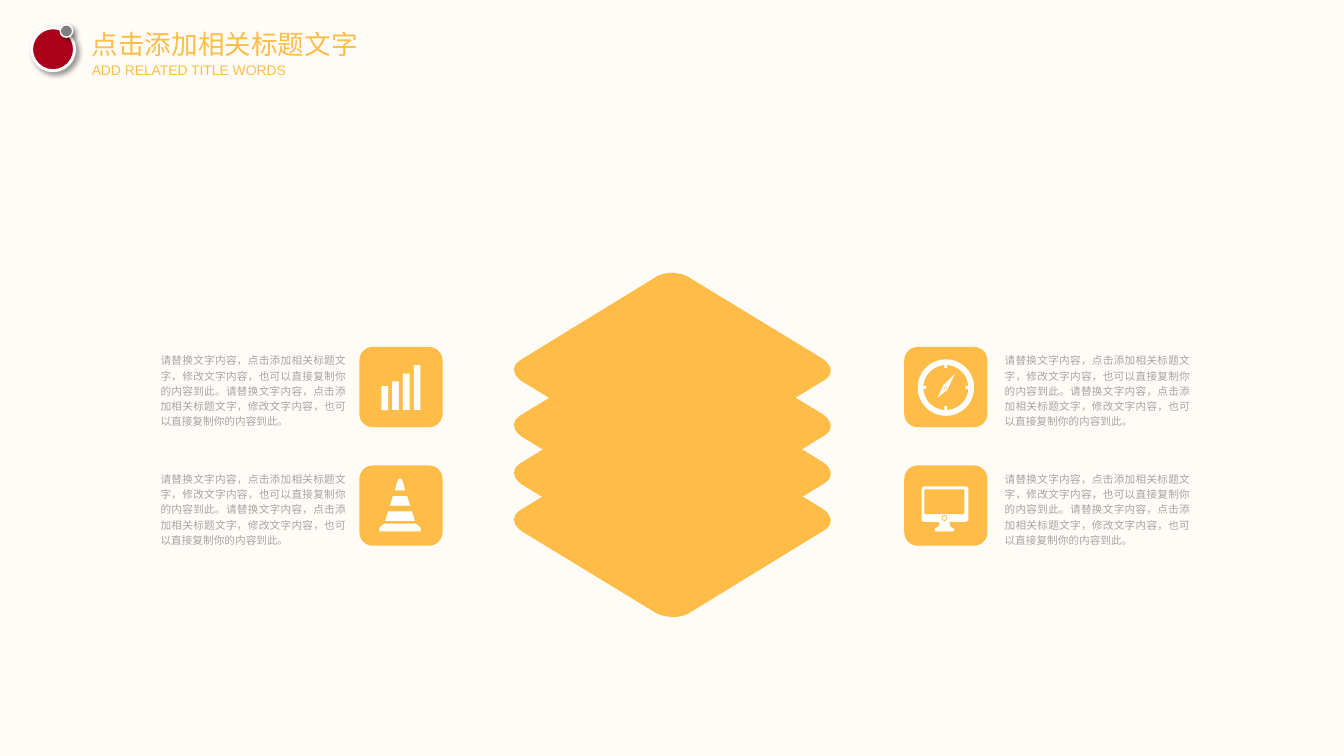
from lxml.etree import SubElement
from pptx import Presentation
from pptx.dml.color import RGBColor
from pptx.enum.shapes import MSO_SHAPE
from pptx.enum.text import MSO_ANCHOR, MSO_AUTO_SIZE, PP_ALIGN
from pptx.oxml.ns import qn
from pptx.util import Inches, Pt

HUE = {"gold": "FFBD47", "cream": "FFFCF7", "white": "FFFFFF",
       "text": "A5A5A5", "red": "AB0019", "gray": "7F7F7F", "black": "000000"}
BODY = "请替换文字内容，点击添加相关标题文字，修改文字内容，也可以直接复制你的内容到此。" * 2

deck = Presentation()
deck.slide_width, deck.slide_height = Inches(14.06), Inches(7.91)
slide = deck.slides.add_slide(deck.slide_layouts[5])
slide.background.fill.solid()
slide.background.fill.fore_color.rgb = RGBColor.from_string(HUE["cream"])
shapes = slide.shapes


def paint(kind, hue, *box, adj=None):
    """Add a filled preset shape without line or shadow; box is in inches."""
    part = shapes.add_shape(kind, *map(Inches, box))
    part.shadow.inherit = False
    part.fill.solid()
    part.fill.fore_color.rgb = RGBColor.from_string(HUE[hue])
    part.line.fill.background()
    if adj is not None:
        part.adjustments[0] = adj
    return part


def write(box, text, size, hue, **form):
    """Fill a text holder that has no insets; form formats its paragraph."""
    frame = box.text_frame
    look = {"margin_left": 0, "margin_top": 0, "margin_right": 0,
            "margin_bottom": 0, "word_wrap": True,
            "auto_size": MSO_AUTO_SIZE.NONE, "vertical_anchor": MSO_ANCHOR.TOP}
    for key, value in look.items():
        setattr(frame, key, value)
    line = frame.paragraphs[0]
    for key, value in form.items():
        setattr(line, key, value)
    run = line.add_run()
    run.text = text
    run.font.name, run.font.size = "Arial", Pt(size)
    run.font.color.rgb = RGBColor.from_string(HUE[hue])


# Heading
title = shapes.title
title.left, title.top, title.width, title.height = map(Inches, (0.96, 0.29, 2.85, 0.34))
write(title, "点击添加相关标题文字", 20, "gold", alignment=PP_ALIGN.LEFT)
sub = shapes.add_textbox(*map(Inches, (0.96, 0.64, 2.08, 0.18)))
write(sub, "ADD RELATED TITLE WORDS", 10.5, "gold")

# Heading badge
for hue, x, y, size, width in (("red", 0.33, 0.29, 0.45, 2.25), ("gray", 0.63, 0.26, 0.13, 1)):
    disc = paint(MSO_SHAPE.OVAL, hue, x, y, size, size)
    disc.line.color.rgb = RGBColor.from_string(HUE["white"])
    disc.line.width = Pt(width)
    effects = disc._element.spPr.find(qn("a:effectLst"))
    shade = SubElement(effects, qn("a:outerShdw"), blurRad=str(Pt(4)), dist=str(Pt(3)),
                       dir="2700000", algn="tl", rotWithShape="0")
    color = SubElement(shade, qn("a:srgbClr"), val=HUE["black"])
    SubElement(color, qn("a:alpha"), val="40000")

# Icon tiles with their texts
for row in range(2):
    top = 3.63 + 1.24 * row
    for tile, note in ((3.76, 1.68), (9.46, 10.51)):
        paint(MSO_SHAPE.ROUNDED_RECTANGLE, "gold", tile, top, 0.87, 0.84, adj=0.167)
        box = shapes.add_textbox(*map(Inches, (note, top + 0.05, 1.94, 0.79)))
        write(box, BODY, 8, "text", alignment=PP_ALIGN.JUSTIFY, line_spacing=1.2)

# Bar icon
for col, high in enumerate((0.25, 0.3, 0.38, 0.47)):
    paint(MSO_SHAPE.RECTANGLE, "white", 3.99 + 0.113 * col, 4.29 - high, 0.07, high)

# Compass ring and ticks
paint(MSO_SHAPE.DONUT, "white", 9.6, 3.76, 0.59, 0.59, adj=0.1)
for x, y, wide, high in ((9.88, 3.81, 0.03, 0.04), (9.88, 4.25, 0.03, 0.05),
                         (9.65, 4.04, 0.04, 0.03), (10.1, 4.04, 0.04, 0.03)):
    paint(MSO_SHAPE.RECTANGLE, "white", x, y, wide, high)

# Monitor
paint(MSO_SHAPE.ROUNDED_RECTANGLE, "white", 9.64, 5.09, 0.49, 0.37, adj=0.08)
paint(MSO_SHAPE.RECTANGLE, "gold", 9.67, 5.12, 0.42, 0.26)

# Outlines: lists of contours, each a list of points
needle = [[(9.81, 4.16), (9.86, 4.05), (9.87, 4.03), (9.99, 3.91), (9.92, 4.06), (9.91, 4.08)]]
stand = [[(9.83, 5.45), (9.93, 5.45), (9.94, 5.51), (9.98, 5.53),
          (9.98, 5.56), (9.78, 5.56), (9.78, 5.53), (9.82, 5.51)]]
cone = [[(4.13, 5.13), (4.16, 5.03), (4.17, 5.01), (4.2, 5.01), (4.21, 5.03), (4.24, 5.13)],
        [(4.08, 5.29), (4.11, 5.19), (4.26, 5.19), (4.29, 5.29)],
        [(4.03, 5.45), (4.06, 5.35), (4.31, 5.35), (4.34, 5.45)],
        [(3.97, 5.56), (3.97, 5.52), (4.02, 5.48), (4.35, 5.48), (4.4, 5.52), (4.4, 5.56)]]

# One layer: four Bézier corners joined by straight edges
corners = (((1.51, 0.06), (1.6, 0), (1.77, 0), (1.87, 0.07)),
           ((3.25, 0.91), (3.36, 0.98), (3.37, 1.08), (3.27, 1.14)),
           ((1.85, 2.01), (1.76, 2.06), (1.59, 2.06), (1.49, 1.99)),
           ((0.11, 1.15), (0.01, 1.08), (0, 0.99), (0.09, 0.93)))
STEPS = 12
layer = []
for corner in corners:
    for step in range(STEPS + 1):
        t = step / STEPS
        share = ((1 - t) ** 3, 3 * t * (1 - t) ** 2, 3 * t * t * (1 - t), t ** 3)
        layer.append([sum(s * p[axis] for s, p in zip(share, corner)) for axis in (0, 1)])

outlines = [("gold", [[(5.35 + x, top + y) for x, y in layer]])
            for top in (4.41, 3.92, 3.42, 2.84)]
outlines += [("white", needle), ("white", stand), ("white", cone)]
for hue, paths in outlines:
    pen = None
    for points in paths:
        first, *rest = [(x * 1000, y * 1000) for x, y in points]
        if pen is None:
            pen = shapes.build_freeform(*first, scale=Inches(1) / 1000)
        else:
            pen.move_to(*first)
        pen.add_line_segments(rest, close=True)
    form = pen.convert_to_shape()
    form.shadow.inherit = False
    form.fill.solid()
    form.fill.fore_color.rgb = RGBColor.from_string(HUE[hue])
    form.line.fill.background()

# Compass hub and monitor button
for x, y, hole, dot in ((9.89, 4.06, 0.03, 0.02), (9.88, 5.42, 0.06, 0.04)):
    for hue, size in (("gold", hole), ("white", dot)):
        paint(MSO_SHAPE.OVAL, hue, x - size / 2, y - size / 2, size, size)

deck.save("out.pptx")
